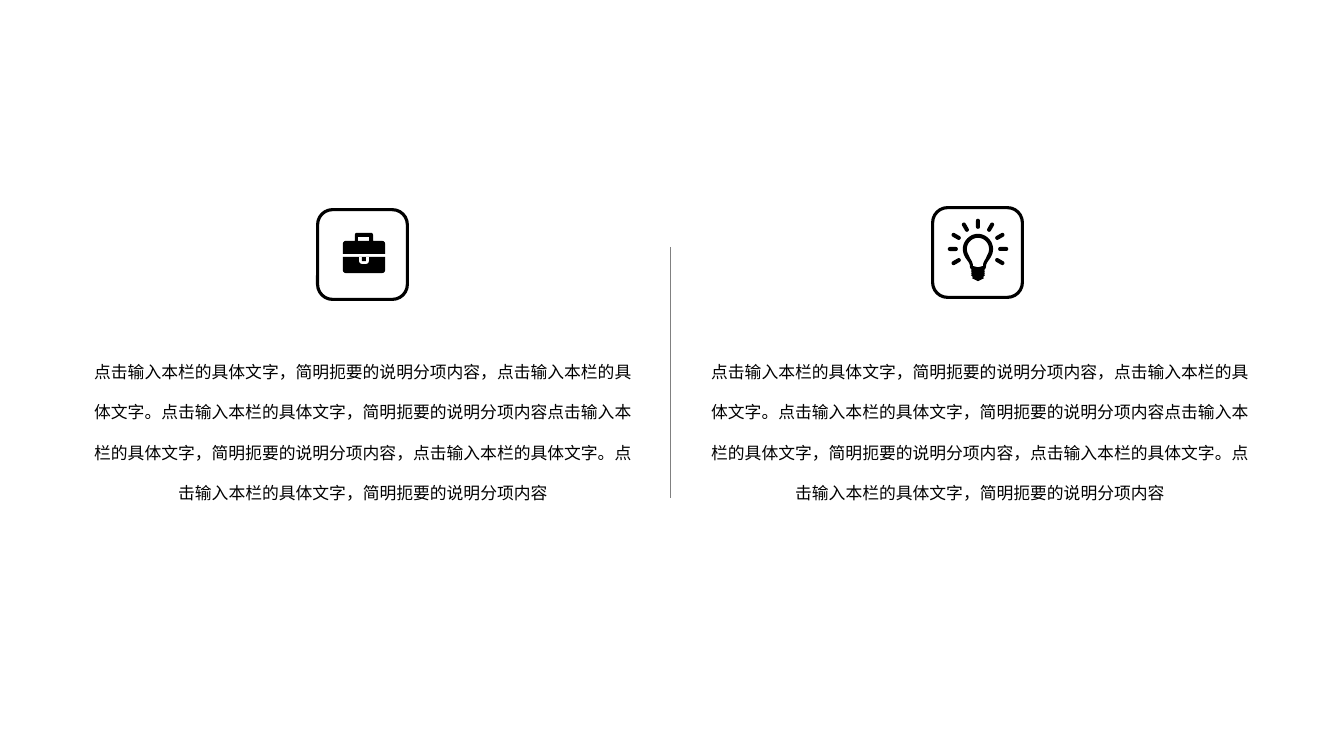
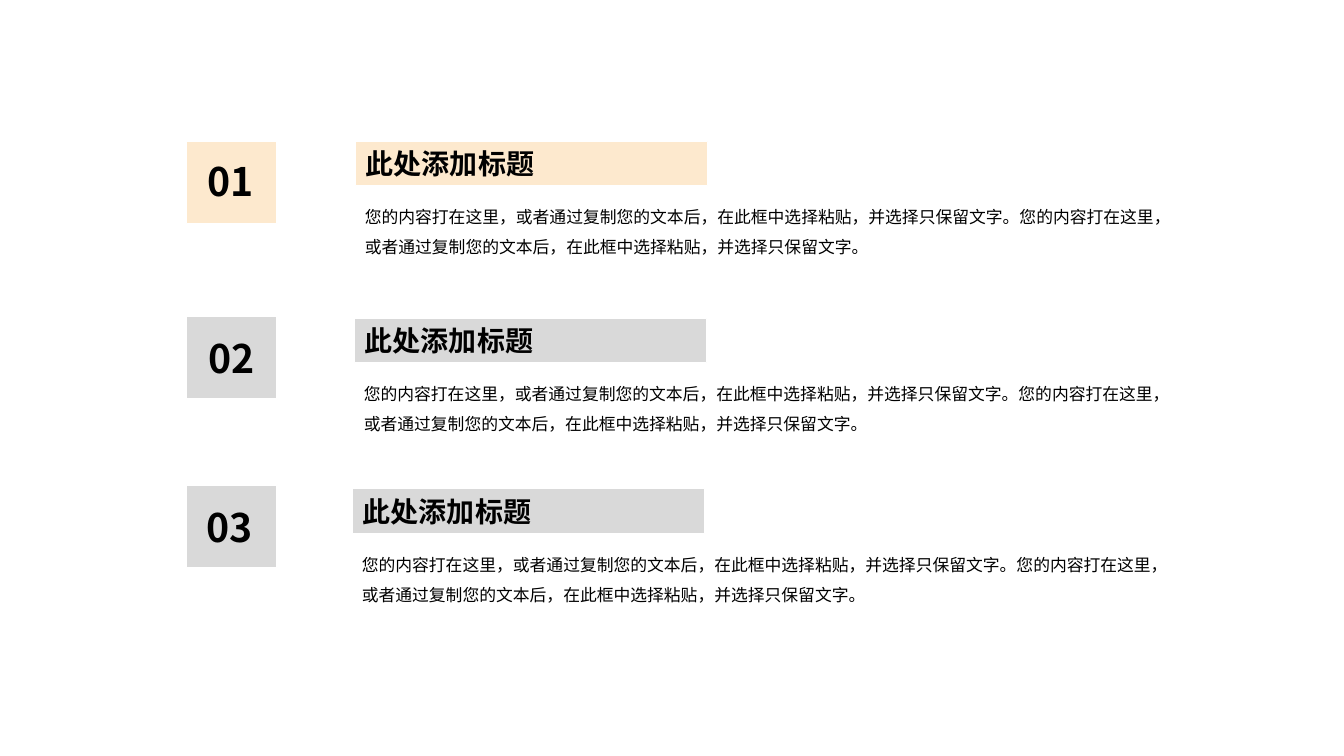
import math

import lxml.etree
import pptx
import pptx.dml.color
import pptx.enum.shapes
import pptx.enum.text
import pptx.oxml.ns
import pptx.util

Inches = pptx.util.Inches
Pt = pptx.util.Pt
SHAPE = pptx.enum.shapes.MSO_SHAPE
ALIGN = pptx.enum.text.PP_ALIGN
ANCHOR = pptx.enum.text.MSO_ANCHOR
qn = pptx.oxml.ns.qn

FONT = "Noto Sans CJK SC"
COLORS = {"ink": "000000", "rule": "808080", "accent": "FDE9CE", "muted": "D9D9D9", "paper": "FFFFFF"}
ICON_SIZE = 0.89
COLUMN_TEXT = (
    "点击输入本栏的具体文字，简明扼要的说明分项内容，点击输入本栏的具体文字。"
    "点击输入本栏的具体文字，简明扼要的说明分项内容"
    "点击输入本栏的具体文字，简明扼要的说明分项内容，点击输入本栏的具体文字。"
    "点击输入本栏的具体文字，简明扼要的说明分项内容"
)
ROW_TITLE = "此处添加标题"
ROW_TEXT = (
    "您的内容打在这里，或者通过复制您的文本后，在此框中选择粘贴，并选择只保留文字。"
    "您的内容打在这里，或者通过复制您的文本后，在此框中选择粘贴，并选择只保留文字。"
)


def rgb(name):
    """Return the named palette colour."""
    return pptx.dml.color.RGBColor.from_string(COLORS[name])


def style(sp, fill=None, line=None, width=1):
    """Set the fill and line of a shape and remove its shadow."""
    sp.shadow.inherit = False
    if fill:
        sp.fill.solid()
        sp.fill.fore_color.rgb = rgb(fill)
    else:
        sp.fill.background()
    if line:
        sp.line.color.rgb = rgb(line)
        sp.line.width = Pt(width)
    else:
        sp.line.fill.background()


def write(sp, text, size, bold=False, align=ALIGN.LEFT, spacing=None, anchor=ANCHOR.TOP):
    """Write one formatted run into a shape."""
    tf = sp.text_frame
    tf.word_wrap = True
    tf.vertical_anchor = anchor
    p = tf.paragraphs[0]
    p.alignment = align
    if spacing:
        p.line_spacing = spacing
    r = p.add_run()
    r.text = text
    r.font.size = Pt(size)
    r.font.bold = bold
    r.font.name = FONT
    r.font.color.rgb = rgb("ink")
    lxml.etree.SubElement(r.font._element, qn("a:ea"), typeface=FONT)


def add_box(s, kind, left, top, width, height):
    """Add a preset shape measured in inches."""
    return s.shapes.add_shape(kind, Inches(left), Inches(top), Inches(width), Inches(height))


def add_text(s, left, top, width, height, text, size, **options):
    """Add a text box measured in inches."""
    sp = s.shapes.add_textbox(Inches(left), Inches(top), Inches(width), Inches(height))
    write(sp, text, size, **options)


def add_outline(s, left, top, contours):
    """Add one filled outline whose contours are relative to a corner."""
    placed = [[(Inches(left + x), Inches(top + y)) for x, y in c] for c in contours]
    builder = s.shapes.build_freeform(*placed[0][0])
    for i, points in enumerate(placed):
        if i:
            builder.move_to(*points[0])
        builder.add_line_segments(points[1:], close=True)
    style(builder.convert_to_shape(), "ink")


def rounded(left, top, width, height, upper=0, lower=0):
    """Return a rectangle contour with rounded upper and lower corners."""
    right, bottom = left + width, top + height
    corners = [
        (left + upper, top + upper, upper, 180),
        (right - upper, top + upper, upper, 270),
        (right - lower, bottom - lower, lower, 0),
        (left + lower, bottom - lower, lower, 90),
    ]
    return [
        (x + r * math.cos(math.radians(start + step)), y + r * math.sin(math.radians(start + step)))
        for x, y, r, start in corners
        for step in ((0, 30, 60, 90) if r else (0,))
    ]


def curve(start, *segments):
    """Return points along a chain of cubic curves."""
    points = [start]
    for b, c, d in segments:
        a = points[-1]
        for i in range(1, 13):
            t = i / 12
            u = 1 - t
            points.append(tuple(
                u ** 3 * a[k] + 3 * u * u * t * b[k] + 3 * u * t * t * c[k] + t ** 3 * d[k]
                for k in (0, 1)
            ))
    return points


def mirrored(half, center):
    """Return a symmetric contour from its right half."""
    return [(center + x, y) for x, y in half] + [(center - x, y) for x, y in half[-2:0:-1]]


def add_frame(s, left, top):
    """Draw the rounded frame of an icon."""
    style(add_box(s, SHAPE.ROUNDED_RECTANGLE, left, top, ICON_SIZE, ICON_SIZE), None, "ink", 2.25)


def add_briefcase(s, left, top):
    """Draw a framed briefcase icon."""
    add_outline(s, left, top, [
        rounded(0.25, 0.31, 0.42, 0.13, upper=0.03),
        rounded(0.25, 0.47, 0.42, 0.16, lower=0.03),
        rounded(0.37, 0.23, 0.18, 0.08, upper=0.02),
        rounded(0.40, 0.27, 0.11, 0.04),
        rounded(0.41, 0.47, 0.10, 0.07, lower=0.03),
        rounded(0.44, 0.47, 0.04, 0.04),
    ])
    add_frame(s, left, top)


def add_bulb(s, left, top):
    """Draw a framed light bulb icon with rays."""
    center_x, center_y = 0.45, 0.41
    glass = curve(
        (0, 0.26),
        ((0.08, 0.26), (0.15, 0.33), (0.15, 0.41)),
        ((0.15, 0.50), (0.08, 0.53), (0.08, 0.58)),
        ((0.08, 0.60), (0.07, 0.61), (0.06, 0.62)),
    )
    screw = [(0.07, 0.63), (0.06, 0.64), (0.07, 0.65), (0.06, 0.66), (0.07, 0.67),
             (0.05, 0.69), (0.06, 0.70), (0.02, 0.72), (0, 0.73)]
    hollow = curve(
        (0, 0.30),
        ((0.06, 0.30), (0.11, 0.35), (0.11, 0.41)),
        ((0.11, 0.45), (0.09, 0.47), (0.08, 0.50)),
        ((0.07, 0.52), (0.05, 0.54), (0.05, 0.58)),
        ((0.04, 0.58), (0.02, 0.59), (0, 0.59)),
    )
    add_outline(s, left, top, [mirrored(glass + screw, center_x), mirrored(hollow, center_x)])
    length, thickness, radius = 0.10, 0.04, 0.25
    for angle in range(150, 391, 30):
        x = left + center_x + radius * math.cos(math.radians(angle))
        y = top + center_y + radius * math.sin(math.radians(angle))
        ray = add_box(s, SHAPE.ROUNDED_RECTANGLE, x - length / 2, y - thickness / 2, length, thickness)
        ray.adjustments[0] = 0.5
        ray.rotation = angle % 360
        style(ray, "ink")
    add_frame(s, left, top)


def add_column(s, left, top, icon, icon_x, icon_y):
    """Place an icon above a centred paragraph."""
    icon(s, left + icon_x, top + icon_y)
    add_text(s, left, top, 5.62, 1.65, COLUMN_TEXT, 12, align=ALIGN.CENTER, spacing=2.0)


def add_divider(s, x, top, bottom):
    """Draw a thin vertical rule."""
    line = s.shapes.add_connector(
        pptx.enum.shapes.MSO_CONNECTOR.STRAIGHT, Inches(x), Inches(top), Inches(x), Inches(bottom))
    line.line.color.rgb = rgb("rule")
    line.line.width = Pt(0.5)
    lxml.etree.SubElement(line._element.spPr, qn("a:effectLst"))


def add_row(s, top, number, number_x, number_y, title_x, title_y, color):
    """Place a numbered tile, a title band and its paragraph."""
    style(add_box(s, SHAPE.RECTANGLE, 1.85, top, 0.9, 0.82), color, "paper", 1)
    add_text(s, number_x, top + number_y, 1.02, 0.57, number, 28,
             bold=True, align=ALIGN.CENTER, anchor=ANCHOR.MIDDLE)
    band = add_box(s, SHAPE.RECTANGLE, title_x, top + title_y, 3.49, 0.44)
    style(band, color, "paper", 0.75)
    write(band, ROW_TITLE, 20, bold=True, anchor=ANCHOR.MIDDLE)
    add_text(s, title_x - 0.01, top + title_y + 0.5, 8.05, 0.97, ROW_TEXT, 12, spacing=1.5)


def build_columns(s):
    """Build the slide with two icon columns."""
    add_divider(s, 6.65, 2.45, 4.94)
    add_column(s, 0.79, 3.34, add_briefcase, 2.36, -1.26)
    add_column(s, 6.91, 3.34, add_bulb, 2.34, -1.28)


def build_list(s):
    """Build the slide with three numbered rows."""
    add_row(s, 1.40, "01", 1.78, 0.11, 3.53, 0, "accent")
    add_row(s, 3.14, "02", 1.79, 0.13, 3.52, 0.02, "muted")
    add_row(s, 4.81, "03", 1.77, 0.13, 3.50, 0.04, "muted")


def main():
    """Build and save the presentation."""
    prs = pptx.Presentation()
    prs.slide_width = Inches(13.33)
    prs.slide_height = Inches(7.5)
    for build in (build_columns, build_list):
        build(prs.slides.add_slide(prs.slide_layouts[6]))
    prs.save("out.pptx")


if __name__ == "__main__":
    main()
